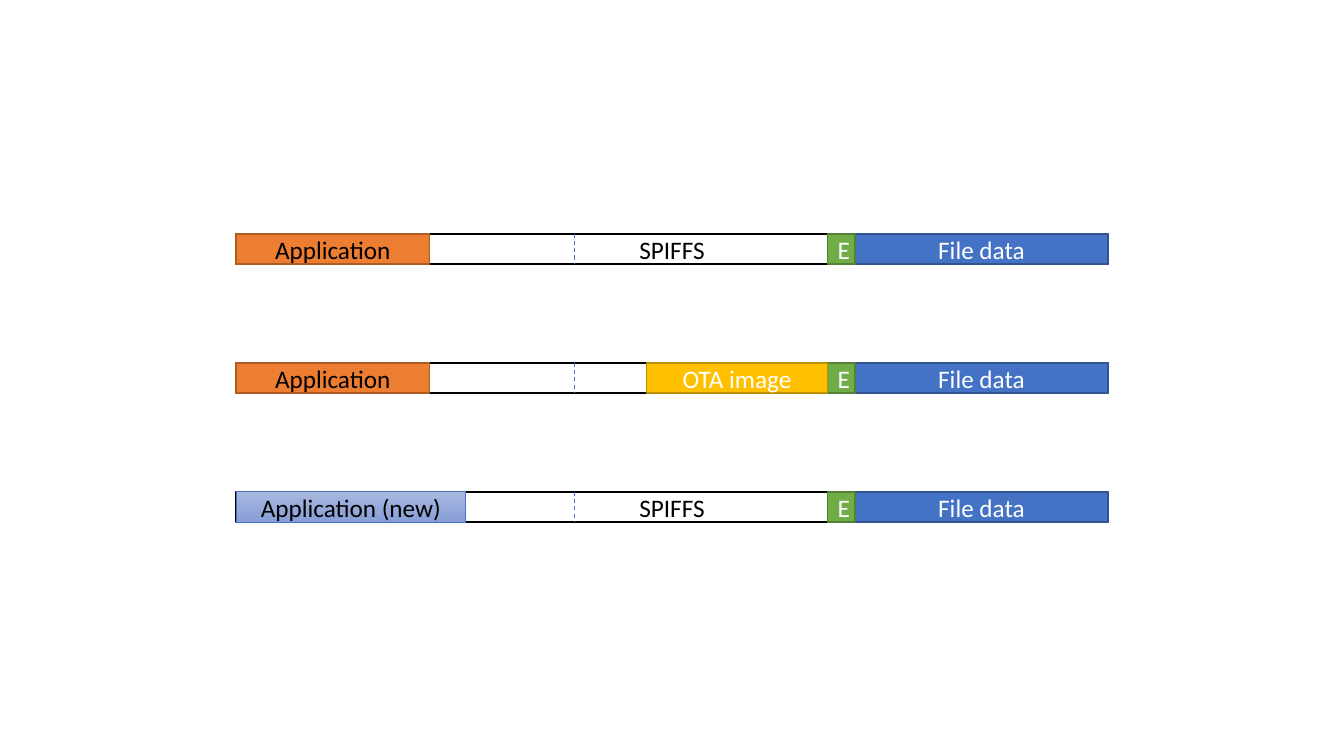
from pptx import Presentation
from pptx.dml.color import RGBColor
from pptx.enum import dml, shapes, text
from pptx.oxml import ns
from pptx.util import Inches, Pt
from lxml import etree

COLORS = {
    "black": "000000", "white": "FFFFFF",
    "orange": "ED7D31", "orange_edge": "AF5C24",
    "blue": "4472C4", "blue_edge": "325491",
    "green": "70AD47", "green_edge": "538035",
    "gold": "FFC000", "gold_edge": "BD8E00",
    "new_top": "A8B7DF", "new_bottom": "889ED7",
}
MAP_LEFT, MAP_WIDTH, MAP_HEIGHT = 2.34, 8.65, 0.3
MAP_TOP, MAP_STEP = 2.32, 1.28

# Segment positions, measured from the left end of a flash map
BOUNDARY = 3.36
OTA_START, EEPROM_START, FILE_START = 4.07, 5.87, 6.14

OLD_APP = dict(label="Application", width=1.92, fill=["orange"],
               edge="orange_edge")
NEW_APP = dict(label="Application (new)", width=2.28,
               fill=["new_top", "new_bottom"], edge="blue", edge_width=0.5)
STAGES = [
    dict(free_label="SPIFFS", app=OLD_APP, has_ota=False),
    dict(free_label="", app=OLD_APP, has_ota=True),
    dict(free_label="SPIFFS", app=NEW_APP, has_ota=False),
]


def color(name):
    return RGBColor.from_string(COLORS[name])


def write_text(shape, label, size=18, font="Calibri", ink="black"):
    frame = shape.text_frame
    frame.word_wrap = True
    frame.vertical_anchor = text.MSO_ANCHOR.MIDDLE
    para = frame.paragraphs[0]
    para.alignment = text.PP_ALIGN.CENTER
    span = para.add_run()
    span.text = label
    span.font.size = Pt(size)
    span.font.name = font
    span.font.color.rgb = color(ink)


def add_segment(page, box, label, fill, edge, ink="black", edge_width=1):
    """Draw a labelled bar; two fill colours make a top-to-bottom gradient."""
    bar = page.shapes.add_shape(shapes.MSO_SHAPE.RECTANGLE,
                                *(Inches(length) for length in box))
    bar.shadow.inherit = False
    if len(fill) == 1:
        bar.fill.solid()
        bar.fill.fore_color.rgb = color(fill[0])
    else:
        bar.fill.gradient()
        bar.fill.gradient_angle = 270
        for stop, name in zip(bar.fill.gradient_stops, fill):
            stop.color.rgb = color(name)
    bar.line.color.rgb = color(edge)
    bar.line.width = Pt(edge_width)
    if label:
        write_text(bar, label, ink=ink)


def add_boundary(page, x, top, height):
    line = page.shapes.add_connector(
        shapes.MSO_CONNECTOR.STRAIGHT,
        Inches(x), Inches(top), Inches(x), Inches(top + height))
    line.line.color.rgb = color("blue")
    line.line.width = Pt(0.75)
    line.line.dash_style = dml.MSO_LINE.DASH
    properties = line._element.spPr
    etree.SubElement(properties, ns.qn("a:effectLst"))


def add_flash_map(page, box, free_label, app, has_ota):
    left, top, width, height = box

    def segment(start, end, label, fill, edge, **style):
        add_segment(page, (left + start, top, end - start, height),
                    label, fill, edge, **style)

    segment(0, width, free_label, ["white"], "black")
    segment(0, app["width"], app["label"], app["fill"], app["edge"],
            edge_width=app.get("edge_width", 1))
    segment(FILE_START, width, "File data", ["blue"], "blue_edge", ink="white")
    segment(EEPROM_START, FILE_START, "E", ["green"], "green_edge", ink="white")
    if has_ota:
        segment(OTA_START, EEPROM_START, "OTA image", ["gold"], "gold_edge",
                ink="white")
    add_boundary(page, left + BOUNDARY, top, height)


def main():
    deck = Presentation()
    deck.slide_width, deck.slide_height = Inches(13.33), Inches(7.5)
    page = deck.slides.add_slide(deck.slide_layouts[6])
    for row, stage in enumerate(STAGES):
        box = (MAP_LEFT, MAP_TOP + row * MAP_STEP, MAP_WIDTH, MAP_HEIGHT)
        add_flash_map(page, box, **stage)
    deck.save("out.pptx")


if __name__ == "__main__":
    main()
